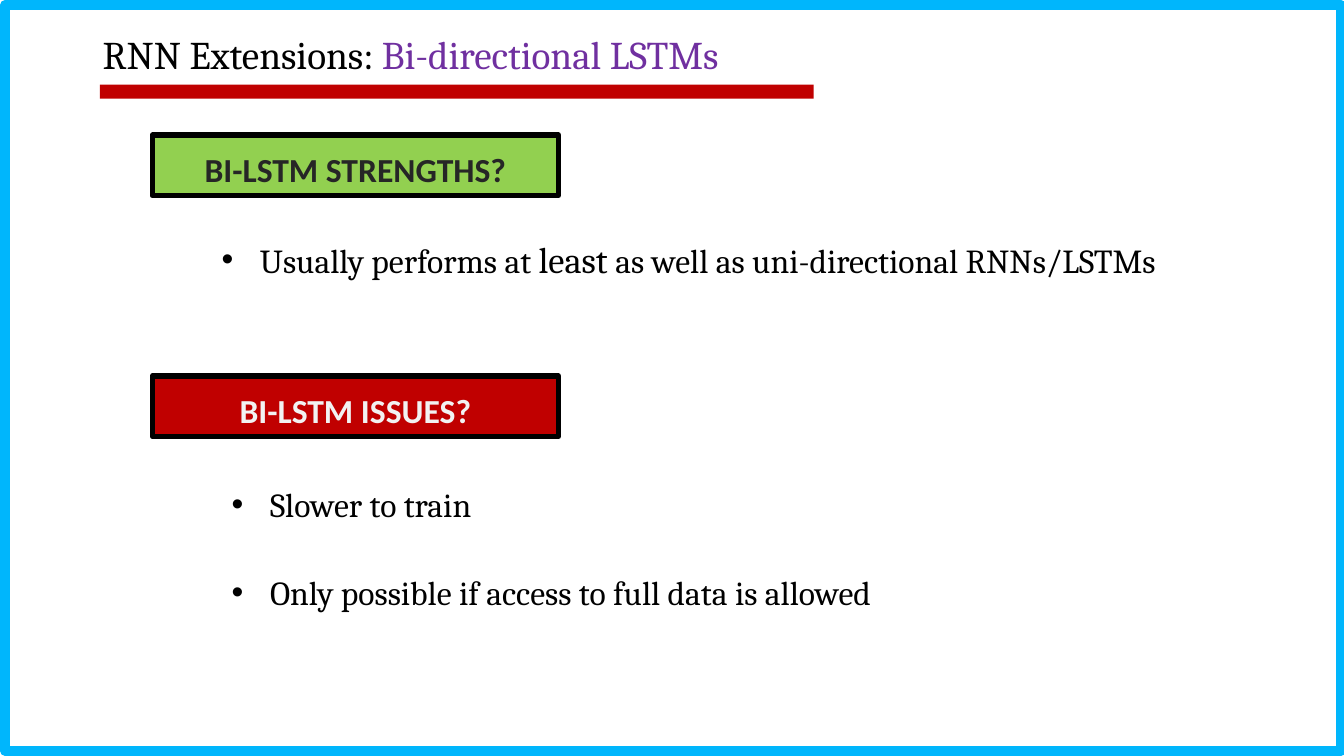
from dataclasses import dataclass
from typing import Optional

from pptx import Presentation
from pptx.dml.color import RGBColor as Rgb
from pptx.enum.shapes import MSO_SHAPE as Shape
from pptx.enum.text import MSO_ANCHOR as Anchor, PP_ALIGN as Align
from pptx.oxml.ns import qn
from pptx.util import Inches, Pt
from lxml.etree import SubElement


@dataclass(frozen=True)
class Theme:
    white: str = "FFFFFF"
    black: str = "000000"
    sky: str = "00B6FC"
    red: str = "C00000"
    green: str = "92D050"
    purple: str = "7030A0"
    dark: str = "262626"
    pale: str = "F2F2F2"
    serif: str = "Cambria"
    sans: str = "Calibri"
    head: int = 28
    body: int = 24
    large: int = 26


@dataclass(frozen=True)
class Box:
    left: float
    top: float
    width: float
    height: float

    def place(self) -> tuple:
        return tuple(map(Inches, (self.left, self.top, self.width, self.height)))


@dataclass(frozen=True)
class Run:
    text: str
    size: Optional[int] = None
    color: Optional[str] = None


@dataclass(frozen=True)
class Topic:
    title: str
    top: float
    fill: str
    ink: str
    body: Box
    items: tuple[tuple[Run, ...], ...]


THEME = Theme()
TOPICS = (
    Topic("BI-LSTM STRENGTHS?", 1.34, THEME.green, THEME.dark,
          Box(2.1, 2.09, 10.21, 1.41),
          ((Run("Usually performs at "), Run("least", THEME.large),
            Run(" as well as uni-directional RNNs/LSTMs")),)),
    Topic("BI-LSTM ISSUES?", 3.73, THEME.red, THEME.pale,
          Box(2.2, 4.55, 9.49, 2.23),
          ((Run("Slower to train"),),
           (Run("Only possible if access to full data is allowed"),))),
)


def add_rect(slide, box: Box, fill: str, line: Optional[str] = None, width: float = 0):
    rect = slide.shapes.add_shape(Shape.RECTANGLE, *box.place())
    rect.shadow.inherit = False
    rect.fill.solid()
    rect.fill.fore_color.rgb = Rgb.from_string(fill)
    if line:
        rect.line.color.rgb = Rgb.from_string(line)
        rect.line.width = Pt(width)
    else:
        rect.line.fill.background()
    return rect


def add_frame(slide, box: Box):
    frame = slide.shapes.add_textbox(*box.place()).text_frame
    frame.word_wrap = True
    return frame


def style(font, face: str, size: int, color: str) -> None:
    font.name = face
    font.size = Pt(size)
    font.color.rgb = Rgb.from_string(color)


def add_runs(para, runs: tuple[Run, ...]) -> None:
    for item in runs:
        run = para.add_run()
        run.text = item.text
        if item.size:
            run.font.size = Pt(item.size)
        if item.color:
            run.font.color.rgb = Rgb.from_string(item.color)


def add_bullet(para) -> None:
    props = para._p.get_or_add_pPr()
    props.set("marL", str(Inches(0.38)))
    props.set("indent", str(Inches(-0.38)))
    SubElement(props, qn("a:buFont")).set("typeface", "Arial")
    SubElement(props, qn("a:buChar")).set("char", "•")


def add_topic(slide, topic: Topic) -> None:
    # Heading box
    rect = add_rect(slide, Box(1.51, topic.top, 4.03, 0.6), topic.fill, THEME.black, 3.75)
    frame = rect.text_frame
    frame.vertical_anchor = Anchor.MIDDLE
    para = frame.paragraphs[0]
    para.text = topic.title
    para.alignment = Align.CENTER
    para.line_spacing = 1.2
    style(para.font, THEME.sans, THEME.body, topic.ink)
    para.font.bold = True

    # Bullet list
    frame = add_frame(slide, topic.body)
    for index, runs in enumerate(topic.items):
        para = frame.add_paragraph() if index else frame.paragraphs[0]
        add_bullet(para)
        para.line_spacing = 1.5
        if index:
            para.space_before = Pt(20)
        style(para.font, THEME.serif, THEME.body, THEME.black)
        add_runs(para, runs)


def main() -> None:
    deck = Presentation()
    deck.slide_width, deck.slide_height = Inches(13.33), Inches(7.5)
    slide = deck.slides.add_slide(deck.slide_layouts[6])

    # Page border and title bar
    add_rect(slide, Box(0.05, 0.05, 13.25, 7.4), THEME.white, THEME.sky, 7)
    add_rect(slide, Box(0.99, 0.84, 7.08, 0.14), THEME.red)

    # Title
    para = add_frame(slide, Box(0.92, 0.3, 9.78, 1.27)).paragraphs[0]
    para.line_spacing = 0.9
    style(para.font, THEME.serif, THEME.head, THEME.black)
    add_runs(para, (Run("RNN Extensions: "),
                    Run("Bi-directional LSTMs", color=THEME.purple)))

    # Strengths and issues
    for topic in TOPICS:
        add_topic(slide, topic)

    deck.save("out.pptx")


if __name__ == "__main__":
    main()
